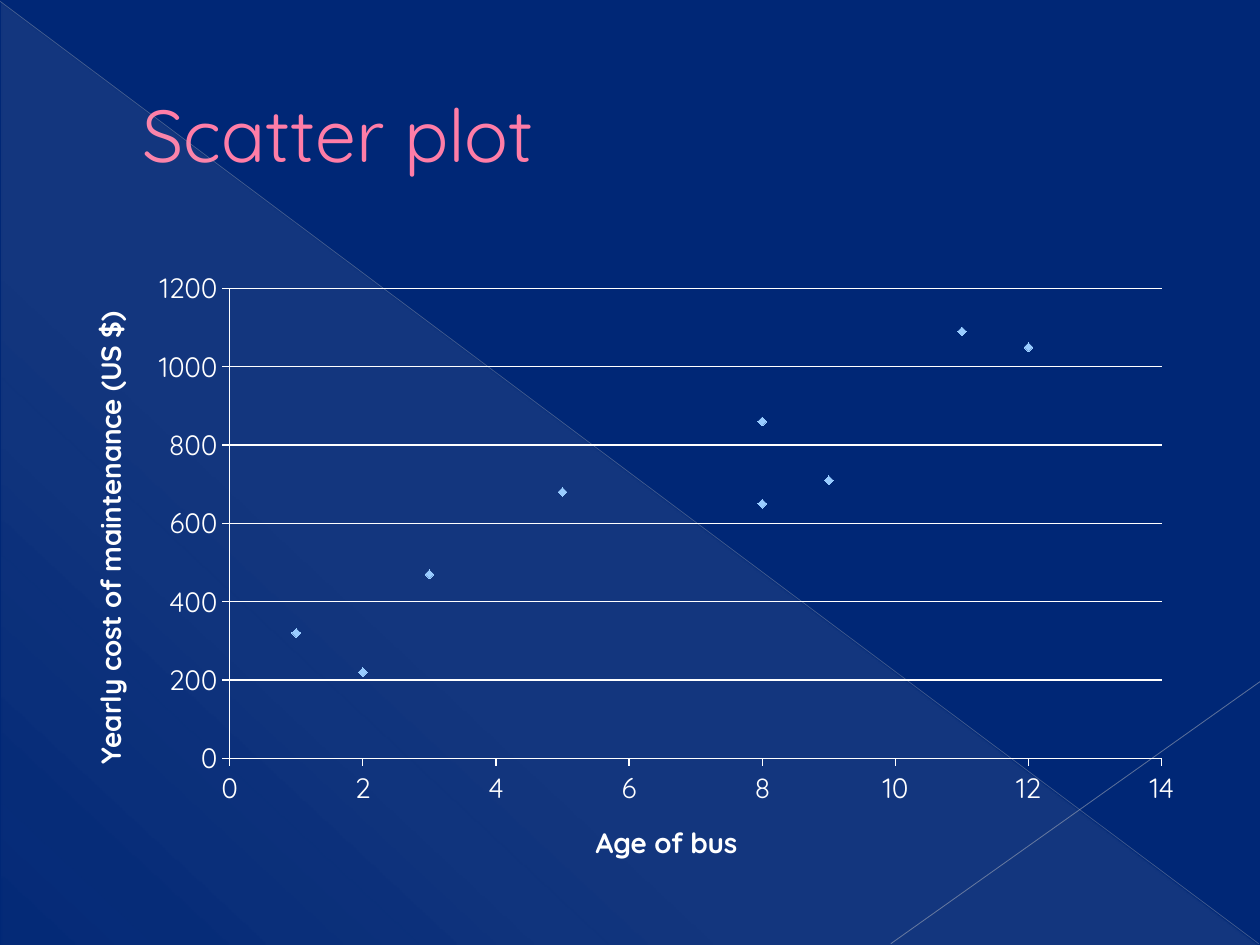
"""Build the scatter plot slide on bus age and maintenance cost."""
from lxml import etree
from pptx import Presentation
from pptx.chart.data import XyChartData
from pptx.dml.color import RGBColor
from pptx.enum.chart import XL_CHART_TYPE as ChartType, XL_MARKER_STYLE as Marker
from pptx.enum.chart import XL_TICK_MARK as Tick
from pptx.enum.shapes import MSO_CONNECTOR as Connector, MSO_SHAPE as Shape
from pptx.enum.text import MSO_ANCHOR as Anchor
from pptx.oxml import parse_xml
from pptx.oxml.ns import nsdecls, qn
from pptx.util import Inches, Pt

FONT = "Quicksand"
COLORS = {"background": "002776", "title": "FF7DA7", "text": "FFFFFF",
          "marker": "99CCFF", "panel": "D2D2D2"}
TITLE = "Scatter plot"
BUSES = [(8, 860), (5, 680), (3, 470), (9, 710), (11, 1090),
         (2, 220), (1, 320), (8, 650), (12, 1050)]
PANEL_STOPS = [(0, 10), (70, 8), (100, 1)]
PANEL_ANGLE = 133
DIAGONALS = [((0, 0.01), (9.99, 7.49), "BFBFBF", 0.39, 35),
             ((10, 5.41), (7.07, 7.49), "C6C6C6", 0.47, 45)]
CHART_BOX = (0.5, 2.06, 9, 5)
PLOT_BOX = (1.82, 2.29, 7.4, 3.73)
AXES = {"category_axis": ("Age of bus", 14, 2, False),
        "value_axis": ("Yearly cost of maintenance (US $)", 1200, 200, True)}


def color(name):
    return RGBColor.from_string(COLORS[name])


def style_font(font, size, name, bold=False):
    font.name, font.size, font.bold = FONT, Pt(size), bold
    font.color.rgb = color(name)


def style_line(line):
    line.color.rgb = color("text")
    line.width = Pt(0.75)


def add_panel(slide):
    panel = slide.shapes.add_shape(Shape.RIGHT_TRIANGLE, *map(Inches, (0.01, 0.02, 9.98, 7.48)))
    panel.shadow.inherit = False
    panel.line.fill.background()
    stops = "".join(
        f'<a:gs pos="{position * 1000}"><a:srgbClr val="{COLORS["panel"]}">'
        f'<a:alpha val="{alpha * 1000}"/></a:srgbClr></a:gs>'
        for position, alpha in PANEL_STOPS)
    gradient = parse_xml(f'<a:gradFill {nsdecls("a")}><a:gsLst>{stops}</a:gsLst>'
                         f'<a:lin ang="{PANEL_ANGLE * 60000}" scaled="0"/></a:gradFill>')
    panel._element.spPr.find(qn("a:prstGeom")).addnext(gradient)


def add_diagonal(slide, start, end, hex_color, width, alpha):
    diagonal = slide.shapes.add_connector(Connector.STRAIGHT, *map(Inches, start + end))
    diagonal.line.color.rgb = RGBColor.from_string(hex_color)
    diagonal.line.width = Pt(width)
    properties = diagonal._element.spPr
    line_color = properties.find(".//" + qn("a:srgbClr"))
    etree.SubElement(line_color, qn("a:alpha")).set("val", str(alpha * 1000))
    etree.SubElement(properties, qn("a:effectLst"))


def add_title(slide):
    frame = slide.shapes.title.text_frame
    slide.shapes.title.left, slide.shapes.title.top = Inches(0.5), Inches(0.29)
    slide.shapes.title.width, slide.shapes.title.height = Inches(9), Inches(1.53)
    frame.text = TITLE
    frame.word_wrap = True
    frame.vertical_anchor = Anchor.MIDDLE
    paragraph = frame.paragraphs[0]
    properties = paragraph._p.get_or_add_pPr()
    properties.set("marL", str(Inches(0.53)))
    properties.set("indent", "0")
    properties.set("algn", "l")
    style_font(paragraph.runs[0].font, 42, "title")


def style_axis(axis, title, maximum, step, gridlines):
    axis.minimum_scale, axis.maximum_scale, axis.major_unit = 0, maximum, step
    axis.major_tick_mark, axis.minor_tick_mark = Tick.OUTSIDE, Tick.NONE
    axis.has_major_gridlines = gridlines
    if gridlines:
        style_line(axis.major_gridlines.format.line)
    style_line(axis.format.line)
    style_font(axis.tick_labels.font, 16, "text")
    axis.tick_labels.number_format = "General"
    axis.tick_labels.number_format_is_linked = False
    axis.axis_title.text_frame.text = title
    style_font(axis.axis_title.text_frame.paragraphs[0].runs[0].font, 16, "text", True)


def place_plot(chart):
    left, top, width, height = CHART_BOX
    fractions = {"x": (PLOT_BOX[0] - left) / width, "y": (PLOT_BOX[1] - top) / height,
                 "w": PLOT_BOX[2] / width, "h": PLOT_BOX[3] / height}
    plot_area = chart._chartSpace.chart.plotArea
    for layout in plot_area.findall(qn("c:layout")):
        plot_area.remove(layout)
    values = "".join(f'<c:{key} val="{value:.3f}"/>' for key, value in fractions.items())
    plot_area.insert(0, parse_xml(
        f'<c:layout {nsdecls("c")}><c:manualLayout><c:layoutTarget val="inner"/>'
        f'<c:xMode val="edge"/><c:yMode val="edge"/>{values}</c:manualLayout></c:layout>'))


def add_scatter(slide):
    data = XyChartData()
    buses = data.add_series("Series 1")
    for age, cost in BUSES:
        buses.add_data_point(age, cost)
    chart = slide.shapes.add_chart(ChartType.XY_SCATTER, *map(Inches, CHART_BOX), data).chart
    chart.has_legend = chart.has_title = False
    style_font(chart.font, 16, "text")
    chart.plots[0].vary_by_categories = False
    series = chart.plots[0].series[0]
    series.smooth = False
    series.format.line.fill.background()
    series.marker.style, series.marker.size = Marker.DIAMOND, 5
    series.marker.format.fill.solid()
    series.marker.format.fill.fore_color.rgb = color("marker")
    series.marker.format.line.color.rgb = color("marker")
    for name, settings in AXES.items():
        style_axis(getattr(chart, name), *settings)
    place_plot(chart)


presentation = Presentation()
presentation.slide_width, presentation.slide_height = Inches(10), Inches(7.5)
slide = presentation.slides.add_slide(presentation.slide_layouts.get_by_name("Title Only"))
slide.background.fill.solid()
slide.background.fill.fore_color.rgb = color("background")
add_panel(slide)
for diagonal in DIAGONALS:
    add_diagonal(slide, *diagonal)
add_title(slide)
add_scatter(slide)
presentation.save("out.pptx")
